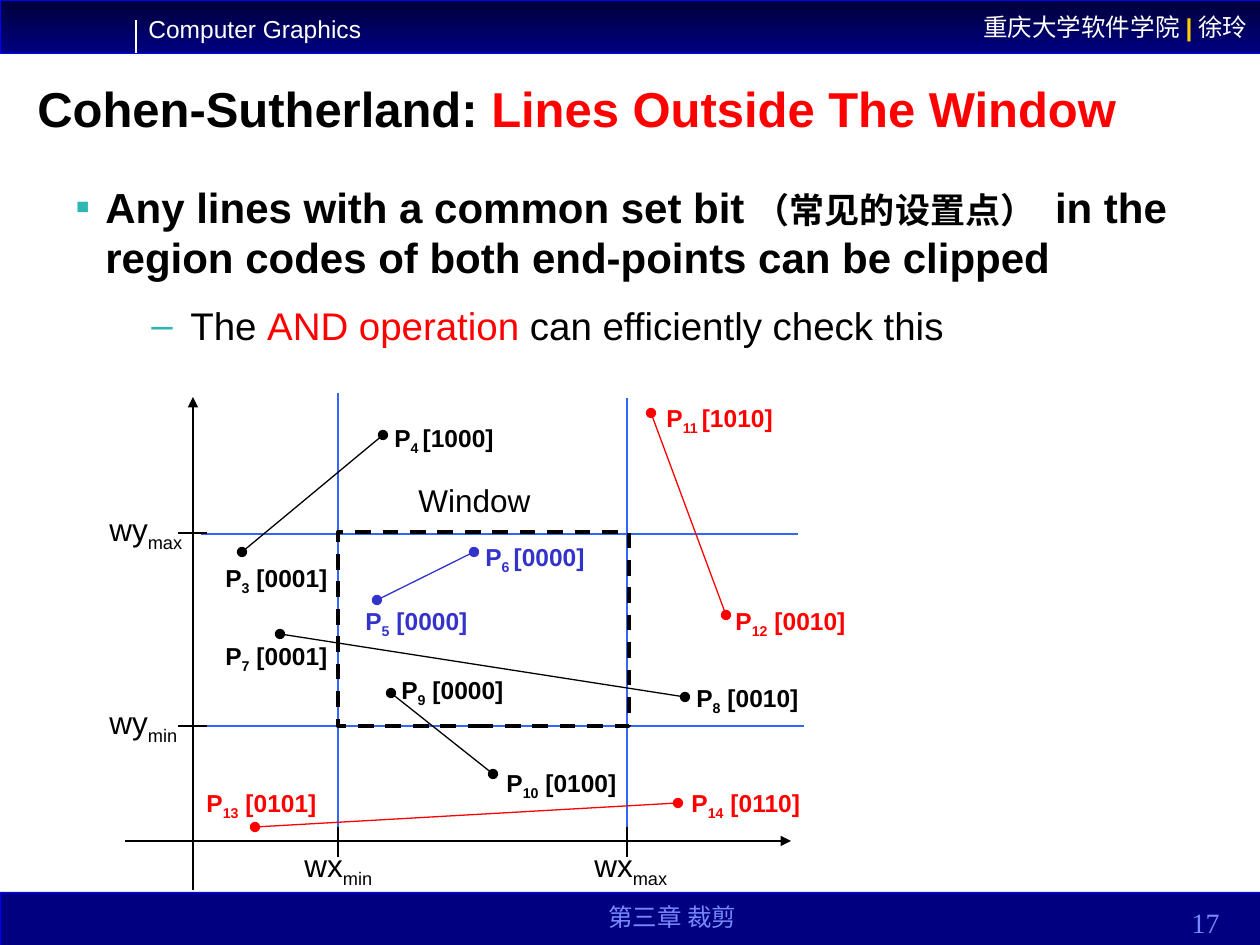
import pptx
import pptx.dml.color
import pptx.enum.dml
import pptx.enum.shapes
import pptx.enum.text
import pptx.oxml.ns
import pptx.util
from lxml import etree

BLACK, WHITE, RED = "000000", "FFFFFF", "FF0000"
NAVY, BLUE, GRID = "000080", "3333CC", "3366FF"
TEAL, PALE, GOLD = "2DB6B3", "7889FB", "FFCC00"
ALIGN = pptx.enum.text.PP_ALIGN
ANCHOR = pptx.enum.text.MSO_ANCHOR


def px(length):
    return pptx.util.Emu(round(length * 914400 / 126))


def rgb(code):
    return pptx.dml.color.RGBColor.from_string(code)


def add_child(parent, tag, **attributes):
    return etree.SubElement(parent, pptx.oxml.ns.qn(tag), **attributes)


def write(para, text, size=14, color=BLACK, bold=False, font="Arial", baseline=0):
    span = para.add_run()
    span.text = text
    span.font.size = pptx.util.Pt(size)
    span.font.name = font
    span.font.bold = bold
    span.font.color.rgb = rgb(color)
    if baseline:
        span.font._element.set("baseline", str(baseline * 1000))


def add_text(page, left, top, width, height, wrap=True, anchor=ANCHOR.TOP, align=ALIGN.LEFT):
    box = page.shapes.add_textbox(px(left), px(top), px(width), px(height))
    frame = box.text_frame
    frame.word_wrap = wrap
    frame.vertical_anchor = anchor
    if not wrap:
        frame.auto_size = pptx.enum.text.MSO_AUTO_SIZE.SHAPE_TO_FIT_TEXT
    frame.paragraphs[0].alignment = align
    return frame


def add_label(page, left, top, width, height, parts, **style):
    para = add_text(page, left, top, width, height, wrap=False).paragraphs[0]
    for index, part in enumerate(parts):
        write(para, part, baseline=-25 if index == 1 else 0, **style)


def add_rectangle(page, left, top, width, height, line, weight):
    shape = page.shapes.add_shape(
        pptx.enum.shapes.MSO_SHAPE.RECTANGLE, px(left), px(top), px(width), px(height))
    shape.shadow.inherit = False
    shape.fill.background()
    shape.line.color.rgb = rgb(line)
    shape.line.width = pptx.util.Pt(weight)
    return shape


def add_line(page, x1, y1, x2, y2, color=BLACK, head=None, tail=None):
    line = page.shapes.add_connector(
        pptx.enum.shapes.MSO_CONNECTOR.STRAIGHT, px(x1), px(y1), px(x2), px(y2))
    line.line.color.rgb = rgb(color)
    line.line.width = pptx.util.Pt(0.75)
    outline = line.line._get_or_add_ln()
    for tag, kind in (("a:headEnd", head), ("a:tailEnd", tail)):
        if kind:
            add_child(outline, tag, type=kind)
    add_child(line._element.spPr, "a:effectLst")


def set_bullet(para, mark, margin, indent):
    properties = para._p.get_or_add_pPr()
    properties.set("marL", str(px(margin)))
    properties.set("indent", str(px(indent)))
    add_child(add_child(properties, "a:buClr"), "a:srgbClr", val=TEAL)
    add_child(properties, "a:buFont", typeface="Arial")
    add_child(properties, "a:buChar", char=mark)


def add_bands(page):
    header = add_rectangle(page, 0, 0, 1260, 53, "0000FF", 0.25)
    header.fill.gradient()
    header.fill.gradient_angle = 270
    for stop, color in zip(header.fill.gradient_stops, ("00003B", NAVY)):
        stop.color.rgb = rgb(color)
    header.text_frame.vertical_anchor = ANCHOR.MIDDLE
    para = header.text_frame.paragraphs[0]
    para.alignment = ALIGN.RIGHT
    write(para, "重庆大学软件学院", color=WHITE)
    write(para, "|", color=GOLD, bold=True)
    write(para, "徐玲", color=WHITE)

    footer = add_rectangle(page, 0, 892, 1260, 53, "0000FF", 0.25)
    footer.fill.solid()
    footer.fill.fore_color.rgb = rgb(NAVY)
    add_label(page, 136, 8, 238, 43, ["Computer Graphics"], color=WHITE)
    add_line(page, 136, 20, 136, 53, WHITE)
    chapter = add_text(page, 473, 890, 399, 48, anchor=ANCHOR.BOTTOM, align=ALIGN.CENTER)
    write(chapter.paragraphs[0], "第三章 裁剪", color=PALE, font="Times New Roman")
    number = add_text(page, 1106, 897, 126, 48, anchor=ANCHOR.BOTTOM, align=ALIGN.RIGHT)
    write(number.paragraphs[0], "17", size=16, color=PALE, font="Times New Roman")


def add_statement(page):
    title = add_text(page, 25, 76, 1137, 68, anchor=ANCHOR.BOTTOM).paragraphs[0]
    title.line_spacing = 0.9
    write(title, "Cohen-Sutherland: ", size=28, bold=True)
    write(title, "Lines Outside The Window", size=28, color=RED, bold=True)

    body = add_text(page, 63, 175, 1134, 262)
    rule = body.paragraphs[0]
    set_bullet(rule, "▪", 30, -30)
    rule.space_after = pptx.util.Pt(4.5)
    write(rule, "Any lines with a common set bit", size=24, bold=True)
    write(rule, "（常见的设置点）", size=20, bold=True)
    write(rule, " in the region codes of both end-points can be clipped", size=24, bold=True)

    check = body.add_paragraph()
    check.level = 1
    set_bullet(check, "–", 115, -39)
    check.space_before = pptx.util.Pt(6.9)
    check.space_after = pptx.util.Pt(4.1)
    write(check, "The ", size=22)
    write(check, "AND operation", size=22, color=RED)
    write(check, " can efficiently check this", size=22)


def add_axes(page):
    for x, top in ((338, 393), (627, 398)):
        add_line(page, x, top, x, top + 437, GRID)
    for y, right in ((534, 798), (726, 804)):
        add_line(page, right, y, right - 597, y, GRID)
    add_line(page, 125, 841, 791, 841, tail="triangle")
    add_line(page, 193, 890, 193, 397, tail="triangle")
    window = add_rectangle(page, 338, 532, 291, 194, BLACK, 2.25)
    window.line.dash_style = pptx.enum.dml.MSO_LINE.DASH
    for y in (533, 726):
        add_line(page, 207, y, 178, y)
    for x in (338, 627):
        add_line(page, x, 827, x, 857)
    for left, top, width, parts in (
        (97, 504, 98, ("wy", "max")),
        (97, 697, 93, ("wy", "min")),
        (292, 840, 93, ("wx", "min")),
        (582, 840, 98, ("wx", "max")),
        (406, 475, 137, ("Window",)),
    ):
        add_label(page, left, top, width, 55, parts, size=18)


def add_segments(page):
    for x1, y1, x2, y2, color in (
        (377, 600, 474, 552, BLUE),
        (242, 552, 383, 435, BLACK),
        (391, 693, 493, 774, BLACK),
        (280, 634, 685, 697, BLACK),
        (726, 615, 651, 413, RED),
        (255, 827, 678, 803, RED),
    ):
        add_line(page, x1, y1, x2, y2, color, head="oval", tail="oval")
    for left, top, width, number, code, color in (
        (213, 557, 127, "3", " [0001]", BLACK),
        (382, 417, 125, "4 ", "[1000]", BLACK),
        (353, 600, 127, "5", " [0000]", BLUE),
        (473, 536, 125, "6 ", "[0000]", BLUE),
        (213, 635, 127, "7", " [0001]", BLACK),
        (684, 677, 127, "8", " [0010]", BLACK),
        (389, 669, 127, "9", " [0000]", BLACK),
        (494, 762, 135, "10", " [0100]", BLACK),
        (654, 397, 132, "11 ", "[1010]", RED),
        (723, 600, 135, "12", " [0010]", RED),
        (194, 782, 135, "13", " [0101]", RED),
        (679, 782, 135, "14", " [0110]", RED),
    ):
        add_label(page, left, top, width, 47, ("P", number, code), color=color, bold=True)


def main():
    deck = pptx.Presentation()
    deck.slide_width, deck.slide_height = px(1260), px(945)
    page = deck.slides.add_slide(deck.slide_layouts[6])
    add_bands(page)
    add_statement(page)
    add_axes(page)
    add_segments(page)
    deck.save("out.pptx")


if __name__ == "__main__":
    main()
